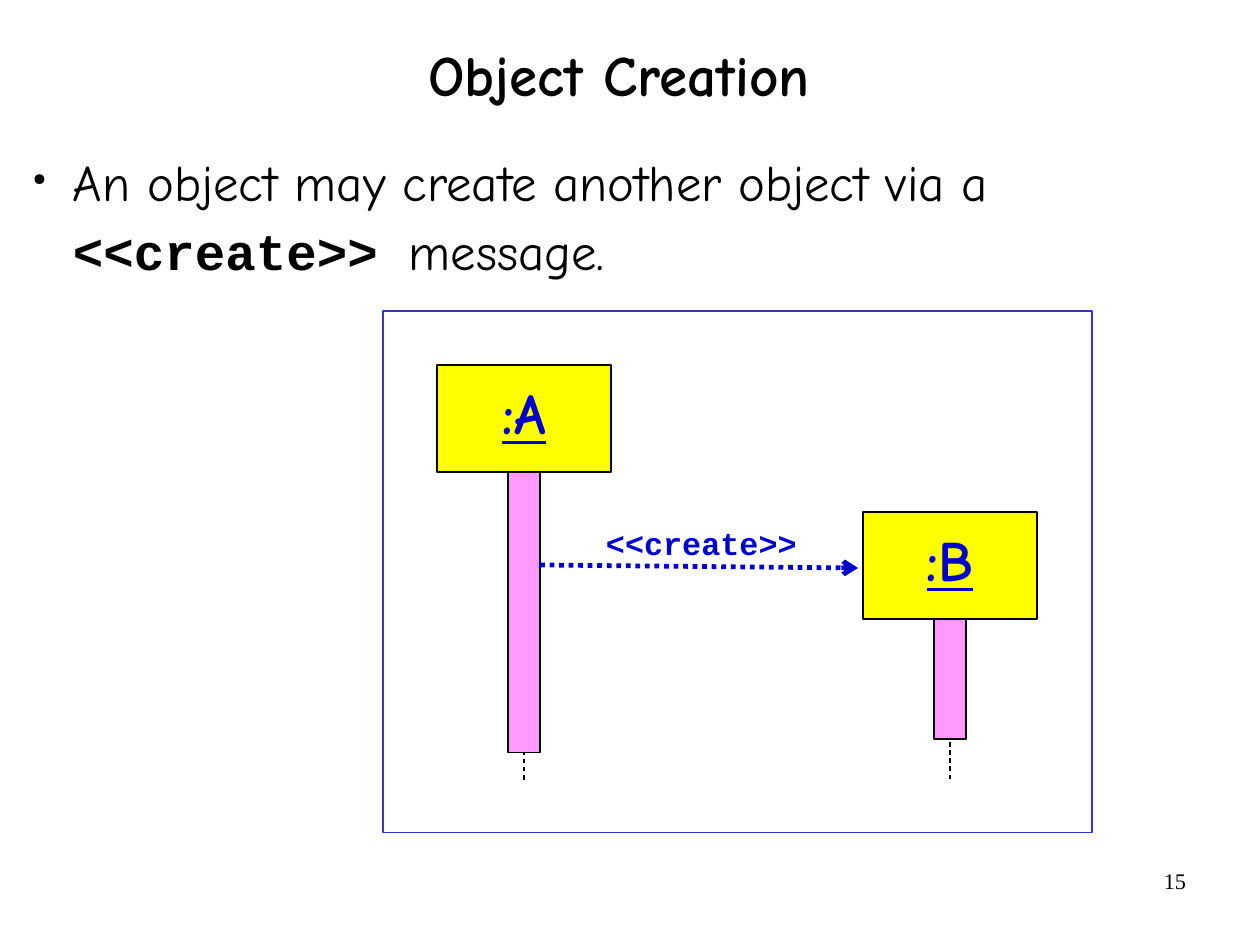
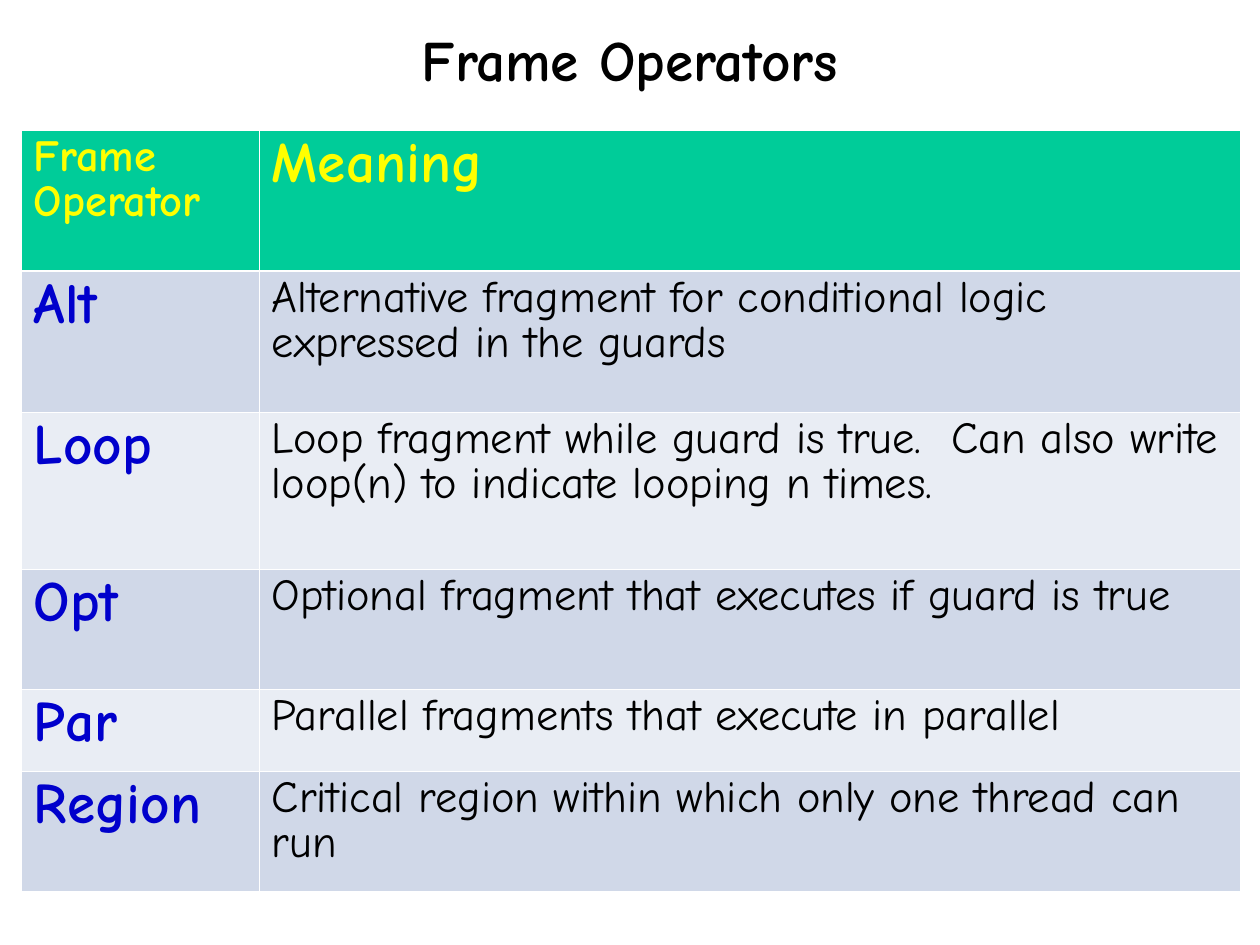
from dataclasses import dataclass

from lxml.etree import SubElement
from pptx import Presentation
from pptx.dml.color import RGBColor
from pptx.enum.dml import MSO_LINE
from pptx.enum.shapes import MSO_CONNECTOR, MSO_SHAPE
from pptx.enum.text import MSO_ANCHOR, PP_ALIGN
from pptx.oxml.ns import qn
from pptx.util import Emu, Pt


@dataclass(frozen=True)
class Theme:
    black: str = "000000"
    white: str = "FFFFFF"
    blue: str = "0000CC"
    frame: str = "3333CC"
    yellow: str = "FFFF00"
    pink: str = "FF99FF"
    green: str = "00CC99"
    bands: tuple = ("D0D8E8", "E9EDF4")
    hand: str = "Comic Neue"
    code: str = "Courier New"
    serif: str = "Times New Roman"
    large: int = 36
    body: int = 32
    table: int = 28
    message: int = 20
    number: int = 14


THEME = Theme()
SLIDE = (1260, 945)
INSET = (13, 6, 13, 6)

CREATION_TITLE = ("Object Creation", (82, 0, 1074, 157))
CREATION_BULLET = [
    ("An object may create another object via a ", THEME.hand, False),
    ("<<create>> ", THEME.code, True),
    ("message.", THEME.hand, False),
]
PAGE_NUMBER = "15"
DIAGRAM = (383, 311, 709, 522)
HEAD_SIZE = (174, 107)
BAR_WIDTH = 32
LIFELINE_END = 780
# name, centre x, top of head, length of activation bar
OBJECTS = [(":A", 524, 365, 281), (":B", 950, 512, 120)]
MESSAGE = ("<<create>>", (593, 525, 250, 43))
MESSAGE_ARROW = (540, 565, 858, 568)

OPERATORS_TITLE = ("Frame Operators", (93, 45, 1074, 37))
TABLE_ORIGIN = (21, 130)
COLUMNS = (238, 981)
ROW_HEIGHTS = (141, 141, 157, 120, 82, 120)
HEADER = ("Frame Operator", "Meaning")
OPERATORS = [
    ("Alt", "Alternative fragment for conditional logic expressed in the guards"),
    ("Loop", "Loop fragment while guard is true.  Can also write loop(n) to indicate looping n times."),
    ("Opt", "Optional fragment that executes if guard is true"),
    ("Par", "Parallel fragments that execute in parallel"),
    ("Region", "Critical region within which only one thread can run"),
]


def px(value):
    return Emu(int(value * 8000))


def rgb(value):
    return RGBColor.from_string(value)


def set_all(target, **values):
    for name, value in values.items():
        setattr(target, name, value)


def add_span(para, text, size, color=THEME.black, **font):
    span = para.add_run()
    span.text = text
    set_all(span.font, **{"name": THEME.hand, "size": Pt(size), **font})
    span.font.color.rgb = rgb(color)


def set_frame(frame, inset=INSET, wrap=True, anchor=MSO_ANCHOR.TOP):
    """Set margins, wrapping and anchor; return the first paragraph."""
    sides = ("margin_left", "margin_top", "margin_right", "margin_bottom")
    set_all(frame, word_wrap=wrap, vertical_anchor=anchor,
            **dict(zip(sides, map(px, inset))))
    return frame.paragraphs[0]


def add_text(page, area, **frame):
    box = page.shapes.add_textbox(*map(px, area))
    return set_frame(box.text_frame, **frame)


def add_page(deck, title, area):
    page = deck.slides.add_slide(deck.slide_layouts[6])
    para = add_text(page, area, anchor=MSO_ANCHOR.MIDDLE)
    set_all(para, alignment=PP_ALIGN.CENTER, line_spacing=0.88)
    add_span(para, title, THEME.large, bold=True)
    return page


def add_box(page, area, fill=None, line=THEME.black):
    box = page.shapes.add_shape(MSO_SHAPE.RECTANGLE, *map(px, area))
    box.shadow.inherit = False
    if fill:
        box.fill.solid()
        box.fill.fore_color.rgb = rgb(fill)
    else:
        box.fill.background()
    box.line.color.rgb = rgb(line)
    box.line.width = Pt(0.75)
    return box


def add_line(page, ends, color, width, dash):
    line = page.shapes.add_connector(MSO_CONNECTOR.STRAIGHT, *map(px, ends))
    line.line.color.rgb = rgb(color)
    set_all(line.line, width=Pt(width), dash_style=dash)
    SubElement(line._element.spPr, qn("a:effectLst"))
    return line


def add_bullet(para):
    props = para._p.get_or_add_pPr()
    props.set("marL", str(px(53)))
    props.set("indent", str(px(-40)))
    color = SubElement(props, qn("a:buClr"))
    SubElement(color, qn("a:srgbClr"), val=THEME.black)
    SubElement(props, qn("a:buSzPct"), val="33000")
    SubElement(props, qn("a:buChar"), char="●")


def add_object(page, name, center, top, bar_length):
    width, height = HEAD_SIZE
    bottom = top + height
    add_line(page, (center, bottom, center, LIFELINE_END), THEME.black, 0.75, MSO_LINE.DASH)
    add_box(page, (center - BAR_WIDTH / 2, bottom, BAR_WIDTH, bar_length), THEME.pink)
    head = add_box(page, (center - width / 2, top, width, height), THEME.yellow)
    para = set_frame(head.text_frame, wrap=False, anchor=MSO_ANCHOR.MIDDLE)
    set_all(para, alignment=PP_ALIGN.CENTER, line_spacing=0.8)
    add_span(para, name, THEME.large, THEME.blue, bold=True, underline=True)


def build_creation(deck):
    page = add_page(deck, *CREATION_TITLE)
    number = add_text(page, (903, 861, 294, 65), inset=(11, 6, 11, 6))
    number.alignment = PP_ALIGN.RIGHT
    add_span(number, PAGE_NUMBER, THEME.number, name=THEME.serif)

    bullet = add_text(page, (20, 142, 1118, 160), inset=(0, 0, 0, 0))
    add_bullet(bullet)
    set_all(bullet, line_spacing=1.14, space_after=Pt(13.8))
    for text, font, bold in CREATION_BULLET:
        add_span(bullet, text, THEME.body, name=font, bold=bold)

    add_box(page, DIAGRAM, line=THEME.frame)
    for item in OBJECTS:
        add_object(page, *item)
    arrow = add_line(page, MESSAGE_ARROW, THEME.blue, 3, MSO_LINE.ROUND_DOT)
    SubElement(arrow.line._get_or_add_ln(), qn("a:tailEnd"), type="arrow")
    text, area = MESSAGE
    label = add_text(page, area)
    label.line_spacing = 0.8
    add_span(label, text, THEME.message, THEME.blue, name=THEME.code, bold=True)


def set_borders(cell, widths):
    props = cell._tc.get_or_add_tcPr()
    for side, width in widths.items():
        line = SubElement(props, qn(f"a:ln{side}"), w=str(Pt(width)))
        fill = SubElement(line, qn("a:solidFill"))
        SubElement(fill, qn("a:srgbClr"), val=THEME.white)


def fill_cell(cell, text, row, column):
    thin, thick = 0.45, 1.47
    set_borders(cell, {"L": thin, "R": thin,
                       "T": thick if row == 1 else thin,
                       "B": thick if row == 0 else thin})
    cell.fill.solid()
    cell.fill.fore_color.rgb = rgb(THEME.bands[(row - 1) % 2] if row else THEME.green)
    set_all(cell, margin_left=px(13), margin_right=px(13),
            margin_top=px(6), margin_bottom=px(6))
    para = cell.text_frame.paragraphs[0]
    set_all(para, line_spacing=0.88, space_after=Pt(13.8))
    if row == 0:
        size, color = (THEME.table, THEME.large)[column], THEME.yellow
    else:
        size, color = ((THEME.large, THEME.blue), (THEME.table, THEME.black))[column]
    add_span(para, text, size, color, bold=row == 0 or column == 0)


def build_operators(deck):
    page = add_page(deck, *OPERATORS_TITLE)
    rows = [HEADER, *OPERATORS]
    area = (*TABLE_ORIGIN, sum(COLUMNS), sum(ROW_HEIGHTS))
    table = page.shapes.add_table(len(rows), len(COLUMNS), *map(px, area)).table
    set_all(table, first_row=False, horz_banding=False)
    for column, width in zip(table.columns, COLUMNS):
        column.width = px(width)
    for row, height in zip(table.rows, ROW_HEIGHTS):
        row.height = px(height)
    for row, texts in enumerate(rows):
        for column, text in enumerate(texts):
            fill_cell(table.cell(row, column), text, row, column)


def main():
    deck = Presentation()
    deck.slide_width, deck.slide_height = map(px, SLIDE)
    build_creation(deck)
    build_operators(deck)
    deck.save("out.pptx")


if __name__ == "__main__":
    main()
